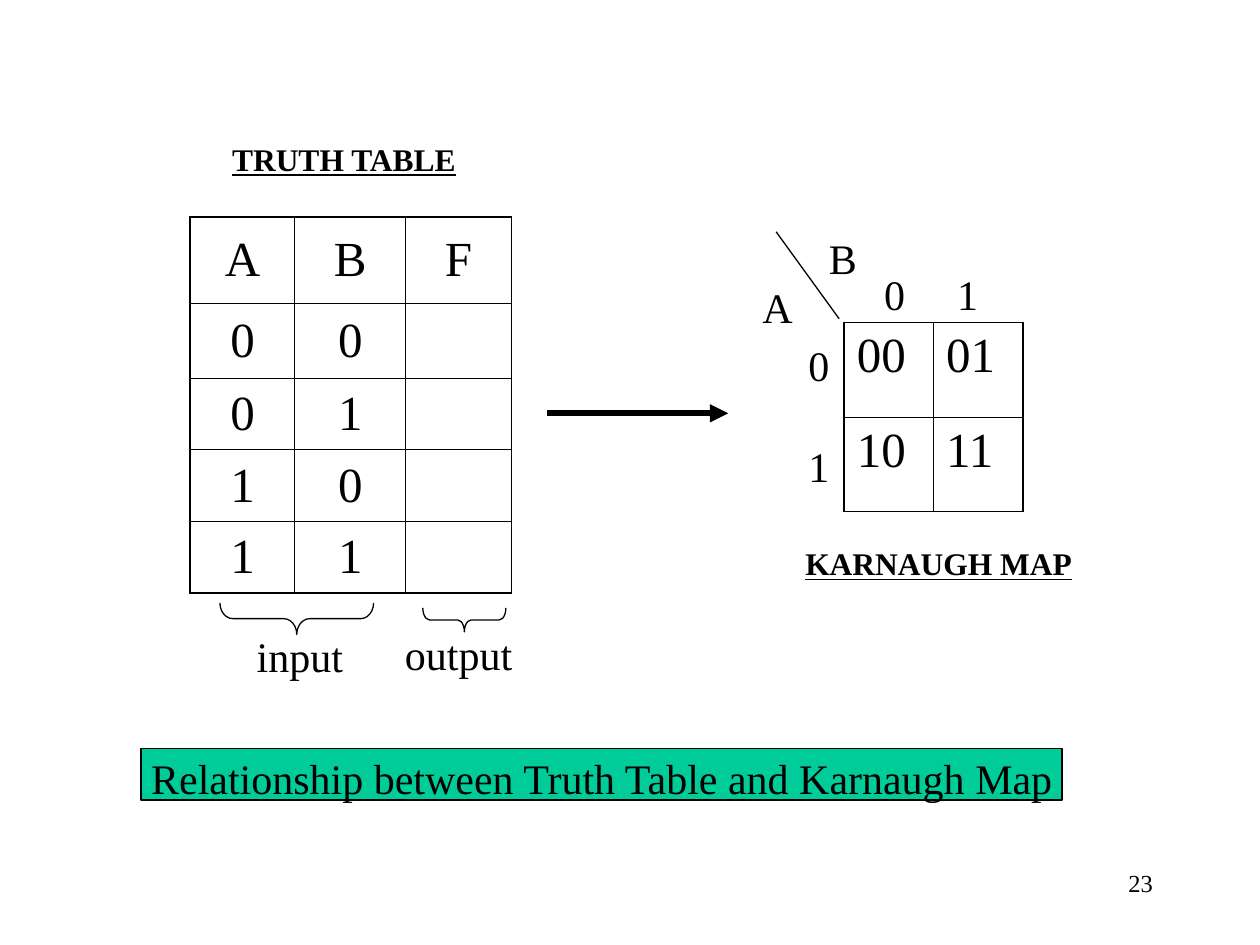
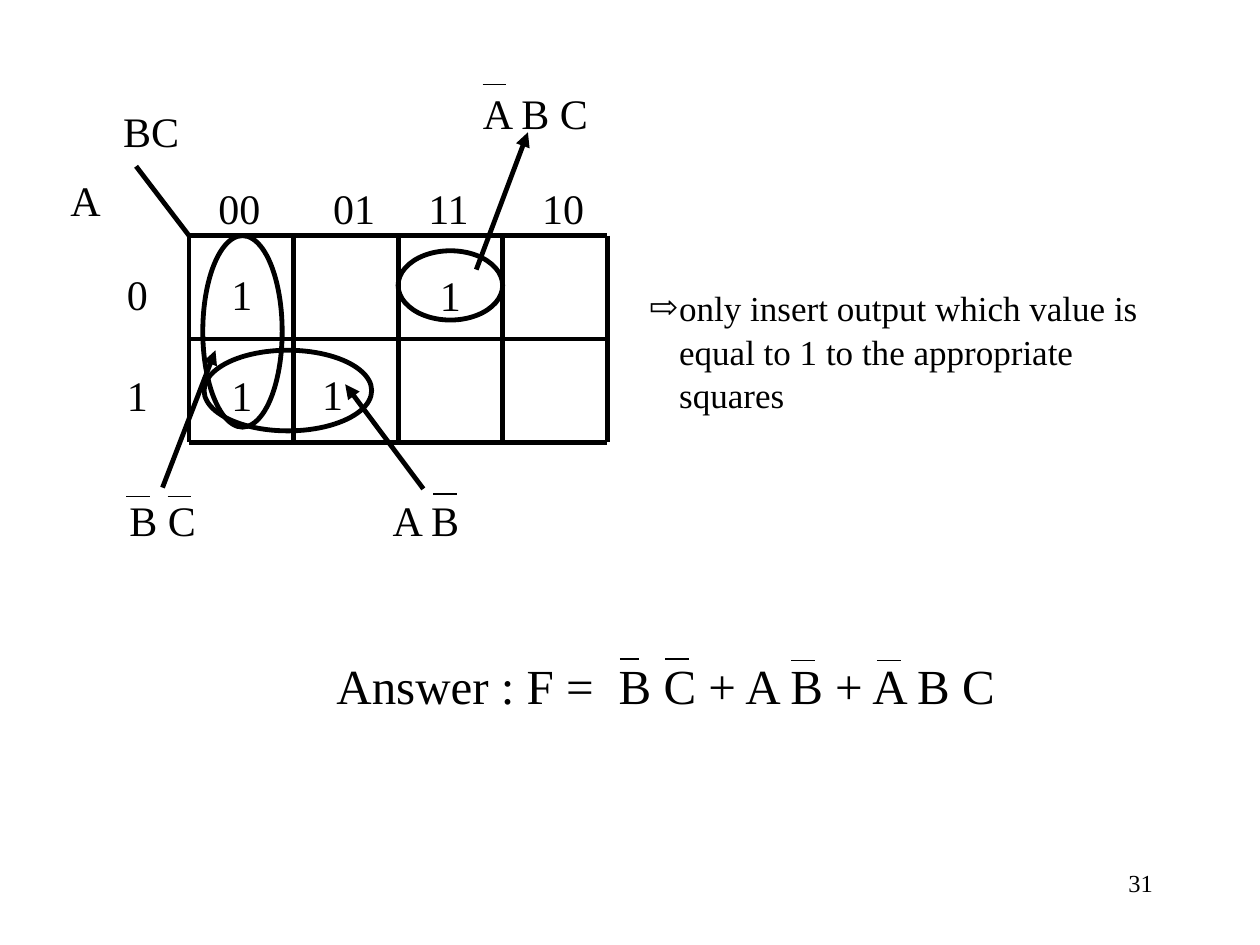
"""Build two slides that relate truth tables to Karnaugh maps."""
from dataclasses import dataclass

import lxml.etree
import pptx
import pptx.dml.color
import pptx.enum.shapes
import pptx.enum.text
import pptx.oxml.ns
import pptx.util

Inches = pptx.util.Inches
Align = pptx.enum.text.PP_ALIGN
Anchor = pptx.enum.text.MSO_ANCHOR
Preset = pptx.enum.shapes.MSO_SHAPE
COLOURS = {"ink": "000000", "paper": "FFFFFF", "band": "00CC99"}
FONT = "Times New Roman"
THIN, GRID, ARROW = 0.75, 2.75, 3.5
INNER, OUTER = 0.45, 1.08
LINE_SPACING = 1.04
LABEL_HEIGHT = 0.5


@dataclass(frozen=True)
class Box:
    """A rectangle in inches."""
    left: float
    top: float
    width: float
    height: float

    def lengths(self) -> list:
        """Return the four values as lengths."""
        return [Inches(v) for v in (self.left, self.top, self.width, self.height)]


@dataclass(frozen=True)
class Label:
    """A short text centred on a horizontal position."""
    text: str
    centre: float
    top: float
    size: int = 24
    width: float = 1.2
    heading: bool = False


@dataclass(frozen=True)
class Stroke:
    """A straight line, with an arrowhead at its end if wanted."""
    start: tuple[float, float]
    end: tuple[float, float]
    weight: float = THIN
    arrow: bool = False


@dataclass(frozen=True)
class Grid:
    """A table of short texts."""
    left: float
    top: float
    columns: list[float]
    rows: list[float]
    cells: list[list[str]]
    align: Align
    anchor: Anchor


def rgb(name: str) -> pptx.dml.color.RGBColor:
    """Return a palette colour."""
    return pptx.dml.color.RGBColor.from_string(COLOURS[name])


def add_xml(parent, tag: str, **attributes: str):
    """Append a DrawingML element."""
    return lxml.etree.SubElement(parent, pptx.oxml.ns.qn(tag), attributes)


def write(paragraph, text: str, size: int, align=Align.LEFT, heading: bool = False) -> None:
    """Add one formatted run to a paragraph."""
    paragraph.alignment = align
    run = paragraph.add_run()
    run.text = text
    font = run.font
    font.name, font.size = FONT, pptx.util.Pt(size)
    font.bold, font.underline = heading, heading
    font.color.rgb = rgb("ink")


def prepare(frame, left: float = 0.1, top: float = 0.05):
    """Set up a text frame and return its first paragraph."""
    frame.word_wrap = True
    frame.auto_size = pptx.enum.text.MSO_AUTO_SIZE.NONE
    frame.vertical_anchor = Anchor.TOP
    frame.margin_left, frame.margin_top = Inches(left), Inches(top)
    frame.margin_right, frame.margin_bottom = Inches(0.05), Inches(0.05)
    paragraph = frame.paragraphs[0]
    paragraph.line_spacing = LINE_SPACING
    paragraph.space_before = pptx.util.Pt(0)
    return paragraph


def place(shape, box: Box) -> None:
    """Move and size a placeholder."""
    shape.left, shape.top, shape.width, shape.height = box.lengths()


def outline(shape, weight: float) -> None:
    """Give a shape an ink outline."""
    shape.line.color.rgb = rgb("ink")
    shape.line.width = pptx.util.Pt(weight)


def draw_label(slide, label: Label) -> None:
    """Draw a centred label."""
    box = Box(label.centre - label.width / 2, label.top, label.width, LABEL_HEIGHT)
    frame = slide.shapes.add_textbox(*box.lengths()).text_frame
    paragraph = prepare(frame, left=0.05)
    write(paragraph, label.text, label.size, Align.CENTER, label.heading)


def draw_number(slide, number: str) -> None:
    """Draw the page number."""
    frame = slide.shapes.add_textbox(*Box(7.17, 6.83, 2.03, 0.5).lengths()).text_frame
    write(prepare(frame), number, 14, Align.RIGHT)


def draw_stroke(slide, stroke: Stroke) -> None:
    """Draw a line or an arrow."""
    ends = [Inches(v) for v in (*stroke.start, *stroke.end)]
    line = slide.shapes.add_connector(pptx.enum.shapes.MSO_CONNECTOR.STRAIGHT, *ends)
    outline(line, stroke.weight)
    if stroke.arrow:
        add_xml(line.line._get_or_add_ln(), "a:tailEnd", type="triangle")
    add_xml(line._element.spPr, "a:effectLst")


def draw_shape(slide, preset: Preset, box: Box, weight: float, filled: bool = False):
    """Draw an outlined preset shape."""
    shape = slide.shapes.add_shape(preset, *box.lengths())
    shape.shadow.inherit = False
    if filled:
        shape.fill.solid()
        shape.fill.fore_color.rgb = rgb("paper")
    else:
        shape.fill.background()
    outline(shape, weight)
    return shape


def draw_brace(slide, box: Box, curve: float) -> None:
    """Draw a brace that points down."""
    brace = draw_shape(slide, Preset.RIGHT_BRACE, box, THIN)
    brace.adjustments[0] = curve
    brace.rotation = 90


def draw_grid(slide, grid: Grid) -> None:
    """Draw a table with a heavier outer frame."""
    last_row, last_column = len(grid.rows) - 1, len(grid.columns) - 1
    box = Box(grid.left, grid.top, sum(grid.columns), sum(grid.rows))
    table = slide.shapes.add_table(last_row + 1, last_column + 1, *box.lengths()).table
    table.first_row = table.horz_banding = False
    for column, width in zip(table.columns, grid.columns):
        column.width = Inches(width)
    for row, height in zip(table.rows, grid.rows):
        row.height = Inches(height)
    for r, texts in enumerate(grid.cells):
        for c, text in enumerate(texts):
            cell = table.cell(r, c)
            edges = {"L": c == 0, "R": c == last_column, "T": r == 0, "B": r == last_row}
            properties = cell._tc.get_or_add_tcPr()
            for side, outer in edges.items():
                width = pptx.util.Pt(OUTER if outer else INNER)
                border = add_xml(properties, f"a:ln{side}", w=str(width))
                add_xml(add_xml(border, "a:solidFill"), "a:srgbClr", val=COLOURS["ink"])
            cell.fill.background()
            cell.vertical_anchor = grid.anchor
            if text:
                write(cell.text_frame.paragraphs[0], text, 28, grid.align)


def build_relationship(deck) -> None:
    """Build the slide with a truth table beside its map."""
    slide = deck.slides.add_slide(deck.slide_layouts[5])
    caption = slide.shapes.title
    place(caption, Box(1.12, 5.94, 7.31, 0.41))
    caption.fill.solid()
    caption.fill.fore_color.rgb = rgb("band")
    outline(caption, THIN)
    write(prepare(caption.text_frame, left=0.08, top=0.02),
          "Relationship between Truth Table and Karnaugh Map", 24)
    inputs = [[a, b, ""] for a in "01" for b in "01"]
    draw_grid(slide, Grid(1.51, 1.72, [0.83, 0.88, 0.84], [0.69, 0.59, 0.57, 0.57, 0.57],
                          [["A", "B", "F"], *inputs], Align.CENTER, Anchor.MIDDLE))
    draw_grid(slide, Grid(6.7, 2.56, [0.71] * 2, [0.75] * 2,
                          [[a + b for b in "01"] for a in "01"], Align.LEFT, Anchor.TOP))
    draw_stroke(slide, Stroke((6.16, 1.84), (6.66, 2.53)))
    draw_stroke(slide, Stroke((4.34, 3.28), (5.78, 3.28), ARROW, True))
    draw_brace(slide, Box(2.23, 4.3, 0.25, 1.22), 0.41)
    draw_brace(slide, Box(3.59, 4.59, 0.19, 0.66), 0.28)
    for label in (
        Label("TRUTH TABLE", 2.73, 1.05, 18, 2.4, True),
        Label("KARNAUGH MAP", 7.45, 4.26, 18, 3.1, True),
        Label("B", 6.69, 1.78), Label("A", 6.17, 2.17),
        Label("0", 7.1, 2.07), Label("1", 7.68, 2.07),
        Label("0", 6.5, 2.63), Label("1", 6.5, 3.43),
        Label("input", 2.38, 4.94), Label("output", 3.64, 4.92),
    ):
        draw_label(slide, label)
    draw_number(slide, "23")


def build_grouping(deck) -> None:
    """Build the slide with grouped squares and the answer."""
    slide = deck.slides.add_slide(deck.slide_layouts[1])
    answer, advice = slide.shapes.title, slide.placeholders[1]
    place(answer, Box(2.57, 5.13, 5.58, 1.04))
    paragraph = prepare(answer.text_frame)
    tabs = add_xml(paragraph._p.get_or_add_pPr(), "a:tabLst")
    add_xml(tabs, "a:tab", pos=str(Inches(2.24)), algn="l")
    write(paragraph, "Answer : F =\t", 28)
    write(paragraph, "B C + A B + A B C", 28)

    place(advice, Box(5.05, 2.21, 4.35, 0.93))
    paragraph = prepare(advice.text_frame)
    properties = paragraph._p.get_or_add_pPr()
    properties.set("marL", str(Inches(0.24)))
    properties.set("indent", str(-Inches(0.24)))
    add_xml(add_xml(properties, "a:buClr"), "a:srgbClr", val=COLOURS["ink"])
    add_xml(properties, "a:buFont", typeface=FONT)
    add_xml(properties, "a:buChar", char="⇨")
    write(paragraph, "only insert output which value is equal to 1 to the appropriate squares", 20)

    single = draw_shape(slide, Preset.OVAL, Box(3.16, 1.99, 0.83, 0.55), GRID, True)
    write(prepare(single.text_frame, left=0.05), "1", 24, Align.CENTER)
    draw_shape(slide, Preset.OVAL, Box(1.62, 2.78, 1.33, 0.64), GRID, True)
    draw_shape(slide, Preset.OVAL, Box(1.61, 1.87, 0.63, 1.52), GRID)

    columns = [1.5 + 0.83 * i for i in range(5)]
    rows = [1.87 + 0.82 * i for i in range(3)]
    verticals = [Stroke((x, rows[0]), (x, rows[-1]), GRID) for x in columns]
    horizontals = [Stroke((columns[0], y), (columns[-1], y), GRID) for y in rows]
    pointers = [
        Stroke((1.5, 1.87), (1.08, 1.32), GRID),
        Stroke((3.78, 2.14), (4.19, 1.05), GRID, True),
        Stroke((1.29, 3.87), (1.71, 2.78), GRID, True),
        Stroke((3.36, 3.88), (2.74, 3.05), GRID, True),
    ]
    bars = [(3.83, 0.67, 0.19), (1, 3.94, 0.19), (1.33, 3.94, 0.19), (3.44, 3.92, 0.19),
            (4.92, 5.23, 0.15), (5.28, 5.23, 0.19), (6.28, 5.24, 0.19), (6.96, 5.24, 0.19)]
    overbars = [Stroke((x, y), (x + width, y)) for x, y, width in bars]
    for stroke in verticals + horizontals + pointers + overbars:
        draw_stroke(slide, stroke)

    headers = zip(("00", "01", "11", "10"), (1.9, 2.81, 3.56, 4.47))
    for label in (
        Label("BC", 1.2, 0.77), Label("A", 0.68, 1.32),
        *(Label(text, centre, 1.38) for text, centre in headers),
        Label("0", 1.09, 2.07), Label("1", 1.09, 2.87),
        Label("1", 1.92, 2.07), Label("1", 1.92, 2.87), Label("1", 2.64, 2.86),
        Label("A B C", 4.25, 0.63), Label("B C", 1.29, 3.86), Label("A B", 3.38, 3.86),
    ):
        draw_label(slide, label)
    draw_number(slide, "31")


def main() -> None:
    """Build and save the deck."""
    deck = pptx.Presentation()
    deck.slide_width, deck.slide_height = Inches(10), Inches(7.5)
    build_relationship(deck)
    build_grouping(deck)
    deck.save("out.pptx")


if __name__ == "__main__":
    main()
